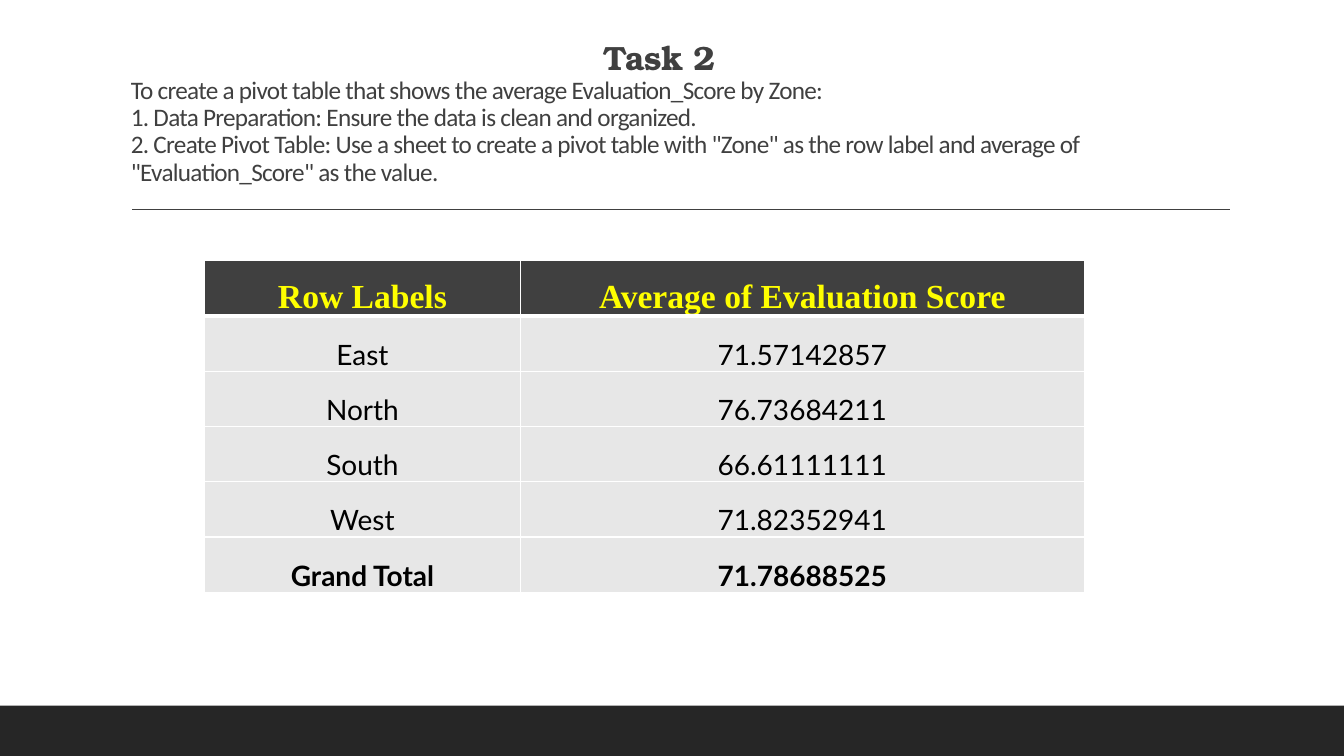
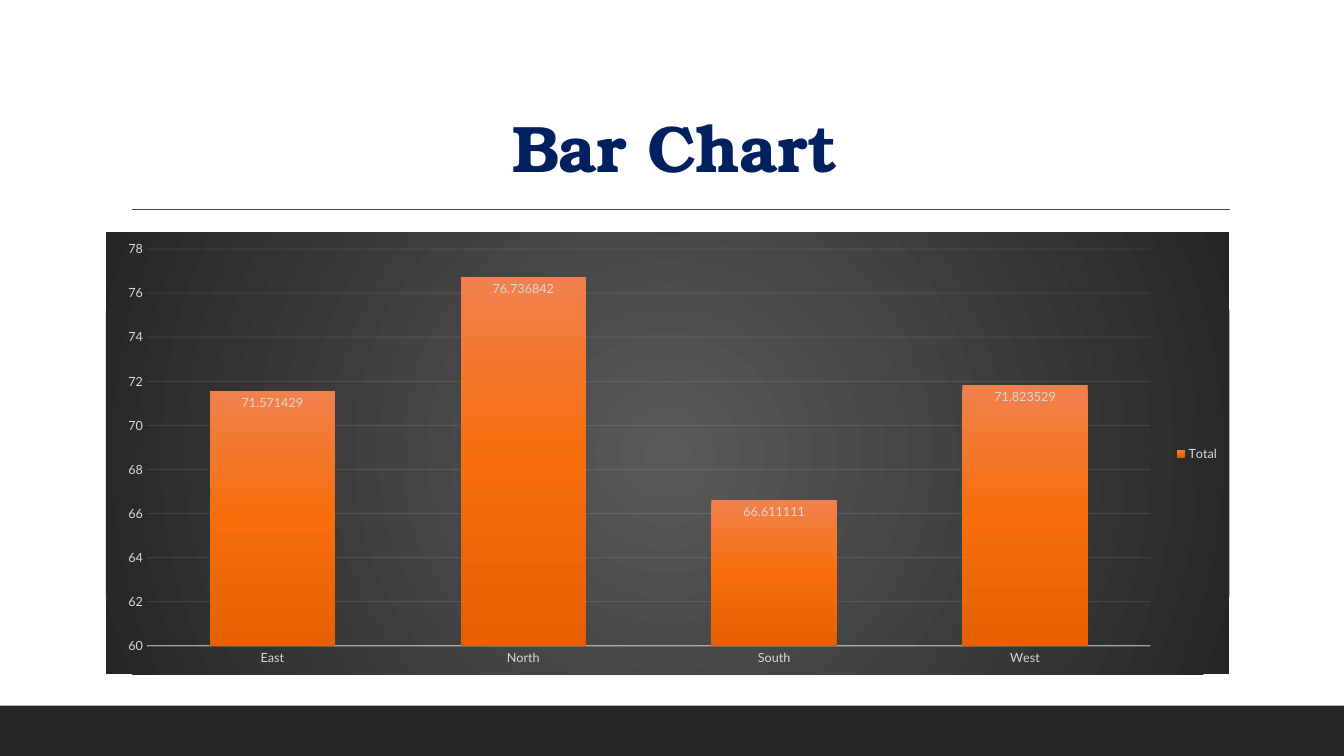
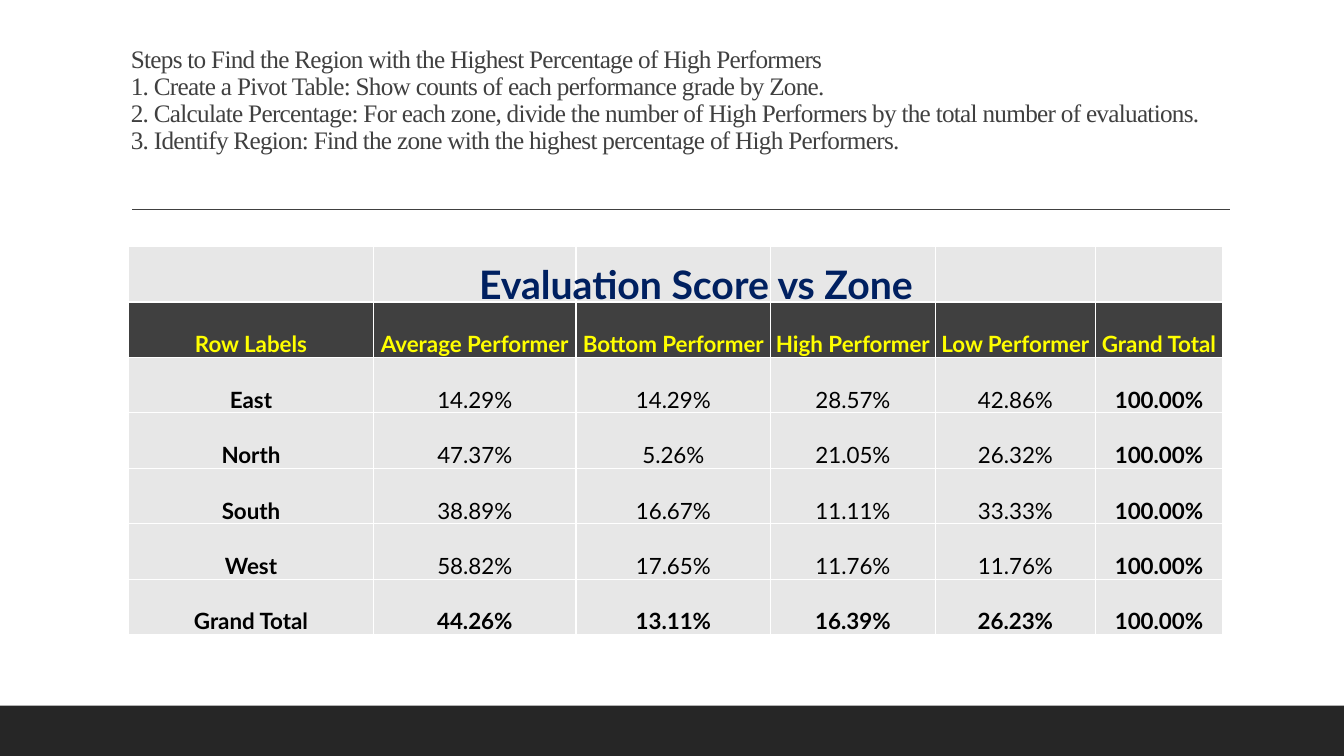
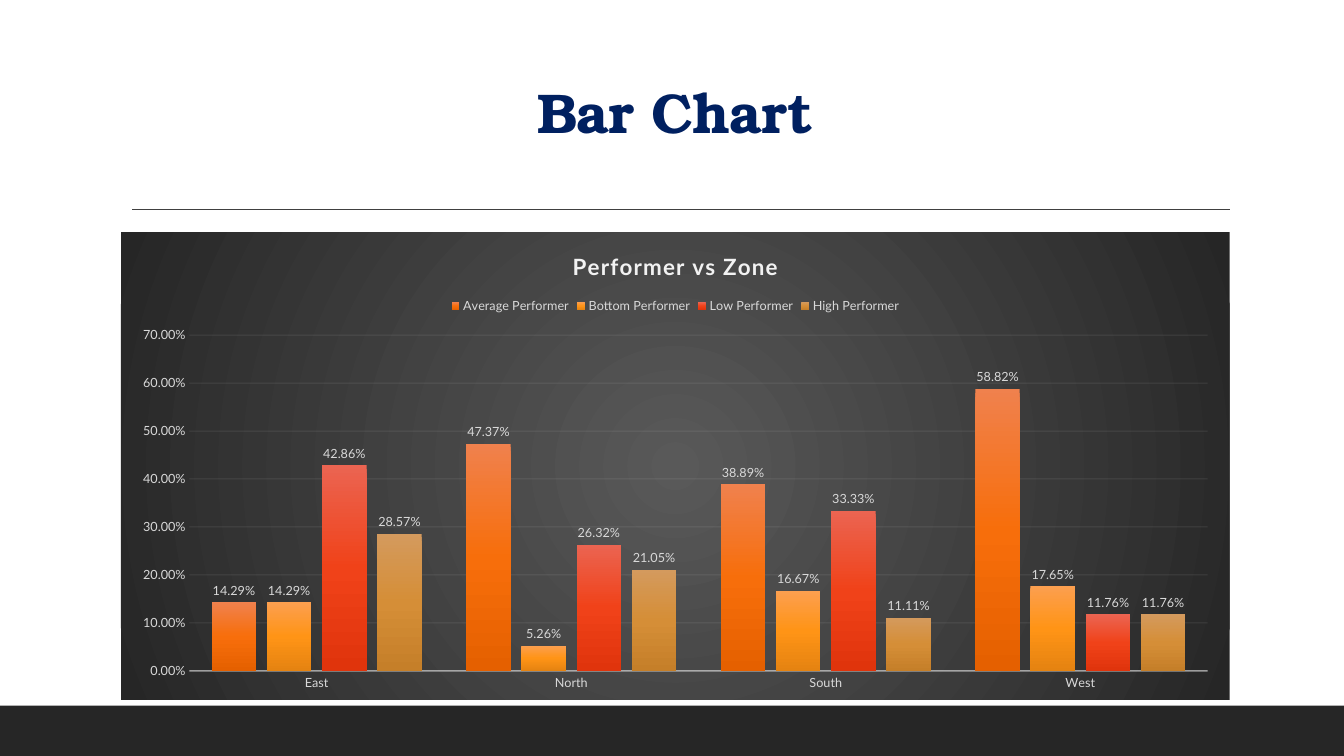
from dataclasses import dataclass

from lxml.etree import SubElement
from pptx import Presentation
from pptx.chart.data import CategoryChartData
from pptx.dml.color import RGBColor
from pptx.enum.chart import XL_CHART_TYPE as ChartType, XL_LABEL_POSITION as LabelPos
from pptx.enum.chart import XL_LEGEND_POSITION as LegendPos, XL_TICK_MARK as Tick
from pptx.enum.shapes import MSO_CONNECTOR as Connector, MSO_SHAPE as Shape
from pptx.enum.text import MSO_ANCHOR as Anchor, PP_ALIGN as Align
from pptx.oxml.ns import qn
from pptx.util import Pt


@dataclass(frozen=True)
class Theme:
    band: str = "262626"
    dark: str = "404040"
    glow: str = "595959"
    navy: str = "002060"
    yellow: str = "FFFF00"
    cell: str = "E7E7E7"
    black: str = "000000"
    white: str = "FFFFFF"
    pale: str = "F2F2F2"
    chart_text: str = "D9D9D9"
    orange: tuple = ("F0814D", "F76E0B", "E56000")
    amber: tuple = ("FC9F4F", "FF9416", "E58311")
    red: tuple = ("EB6451", "F04219", "E0340C")
    tan: tuple = ("D49A5D", "D58E37", "C57F29")
    display: str = "TeX Gyre Bonum"
    serif: str = "Times New Roman"
    sans: str = "Calibri"
    data: str = "Lato"
    body_size: float = 18
    task_size: float = 24
    caption_size: float = 28
    chart_title_size: float = 16
    chart_size: float = 9


T = Theme()
WIDTH, HEIGHT = 960, 540
BAND_HEIGHT = 36
RULE_LEFT, RULE_RIGHT, RULE_TOP = 94.5, 878.7, 149.5
TITLE_LEFT, TITLE_WIDTH = 86.4, 792
ZONES = ["East", "North", "South", "West"]

PIVOT_STEPS = [
    "To create a pivot table that shows the average Evaluation_Score by Zone:",
    "1. Data Preparation: Ensure the data is clean and organized.",
    "2. Create Pivot Table: Use a sheet to create a pivot table with \"Zone\" as the row label "
    "and average of \"Evaluation_Score\" as the value.",
]
REGION_STEPS = [
    "Steps to Find the Region with the Highest Percentage of High Performers",
    "1. Create a Pivot Table: Show counts of each performance grade by Zone.",
    "2. Calculate Percentage: For each zone, divide the number of High Performers by the total "
    "number of evaluations.",
    "3. Identify Region: Find the zone with the highest percentage of High Performers.",
]
AVERAGE_ROWS = [
    ["Row Labels", "Average of Evaluation Score"],
    ["East", "71.57142857"],
    ["North", "76.73684211"],
    ["South", "66.61111111"],
    ["West", "71.82352941"],
    ["Grand Total", "71.78688525"],
]
SHARE_ROWS = [
    [""] * 6,
    ["Row Labels", "Average Performer", "Bottom Performer", "High Performer", "Low Performer",
     "Grand Total"],
    ["East", "14.29%", "14.29%", "28.57%", "42.86%", "100.00%"],
    ["North", "47.37%", "5.26%", "21.05%", "26.32%", "100.00%"],
    ["South", "38.89%", "16.67%", "11.11%", "33.33%", "100.00%"],
    ["West", "58.82%", "17.65%", "11.76%", "11.76%", "100.00%"],
    ["Grand Total", "44.26%", "13.11%", "16.39%", "26.23%", "100.00%"],
]
AVERAGE_SERIES = [
    ("Total", [71.571429, 76.736842, 66.611111, 71.823529], T.orange, 0),
]
SHARE_SERIES = [
    ("Average Performer", [0.1429, 0.4737, 0.3889, 0.5882], T.orange, 0),
    ("Bottom Performer", [0.1429, 0.0526, 0.1667, 0.1765], T.amber, 1),
    ("Low Performer", [0.4286, 0.2632, 0.3333, 0.1176], T.red, 3),
    ("High Performer", [0.2857, 0.2105, 0.1111, 0.1176], T.tan, 2),
]


def rgb(color):
    return RGBColor.from_string(color)


def style(font, name=T.data, size=T.chart_size, color=T.chart_text, bold=False):
    font.name, font.size, font.bold = name, Pt(size), bold
    font.color.rgb = rgb(color)


def write(frame, text, align=Align.LEFT, tracking=0, leading=None, indent=0, more=False, **font):
    paragraph = frame.add_paragraph() if more else frame.paragraphs[0]
    paragraph.alignment, paragraph.line_spacing = align, leading
    if indent:
        paragraph._p.get_or_add_pPr().set("marL", str(Pt(indent)))
    run = paragraph.add_run()
    run.text = text
    style(run.font, **font)
    if tracking:
        run.font._element.set("spc", str(int(tracking * 100)))


def add_box(slide, left, top, width, height, anchor=Anchor.TOP):
    frame = slide.shapes.add_textbox(Pt(left), Pt(top), Pt(width), Pt(height)).text_frame
    frame.word_wrap, frame.vertical_anchor = True, anchor
    return frame


def add_title(slide, top, height, lines, **common):
    frame = add_box(slide, TITLE_LEFT, top, TITLE_WIDTH, height, Anchor.BOTTOM)
    for number, (text, own) in enumerate(lines):
        write(frame, text, more=number > 0, tracking=-0.5, leading=0.9, **{**common, **own})


def new_slide(deck):
    slide = deck.slides.add_slide(deck.slide_layouts[6])
    band = slide.shapes.add_shape(Shape.RECTANGLE, 0, Pt(HEIGHT - BAND_HEIGHT), Pt(WIDTH),
                                  Pt(BAND_HEIGHT))
    band.shadow.inherit = False
    band.fill.solid()
    band.fill.fore_color.rgb = rgb(T.band)
    band.line.fill.background()
    rule = slide.shapes.add_connector(Connector.STRAIGHT, Pt(RULE_LEFT), Pt(RULE_TOP),
                                      Pt(RULE_RIGHT), Pt(RULE_TOP))
    rule.line.color.rgb = rgb(T.dark)
    rule.line.width = Pt(1)
    SubElement(rule._element.spPr, qn("a:effectLst"))
    return slide


def add_borders(cell, **widths):
    properties = cell._tc.get_or_add_tcPr()
    for side in "LRTB":
        line = SubElement(properties, qn("a:ln" + side), w=str(Pt(widths.get(side, 1))))
        SubElement(SubElement(line, qn("a:solidFill")), qn("a:srgbClr"), val=T.white)


def add_table(slide, left, top, columns, row_height, rows, header, header_font, body_size,
              bold_sides=False, header_rule=1):
    table = slide.shapes.add_table(len(rows), len(columns), Pt(left), Pt(top), Pt(sum(columns)),
                                   Pt(row_height * len(rows))).table
    table.first_row = table.horz_banding = False
    for column, width in zip(table.columns, columns):
        column.width = Pt(width)
    for r, row in enumerate(rows):
        table.rows[r].height = Pt(row_height)
        for c, text in enumerate(row):
            cell = table.cell(r, c)
            add_borders(cell, B=header_rule if r == header else 1,
                        T=header_rule if r == header + 1 else 1)
            cell.fill.solid()
            cell.fill.fore_color.rgb = rgb(T.dark if r == header else T.cell)
            cell.vertical_anchor = Anchor.BOTTOM
            cell.margin_left = cell.margin_right = cell.margin_top = Pt(0.7)
            cell.margin_bottom = 0
            if text:
                side = bold_sides and c in (0, len(row) - 1)
                body = dict(size=body_size, color=T.black, bold=side or r == len(rows) - 1)
                write(cell.text_frame, text, Align.CENTER, **(header_font if r == header else body))


def add_gradient(parent, colors, radial=False):
    gradient = SubElement(parent, qn("a:gradFill"), rotWithShape="1")
    stops = SubElement(gradient, qn("a:gsLst"))
    for number, color in enumerate(colors):
        position = 100000 * number // (len(colors) - 1)
        SubElement(SubElement(stops, qn("a:gs"), pos=str(position)), qn("a:srgbClr"), val=color)
    if radial:
        circle = SubElement(gradient, qn("a:path"), path="circle")
        SubElement(circle, qn("a:fillToRect"), {side: "50000" for side in "ltrb"})
    else:
        SubElement(gradient, qn("a:lin"), ang="5400000", scaled="0")


def draw_line(line, owner, width, opacity):
    line.color.rgb, line.width = rgb(T.pale), Pt(width)
    color = next(owner.iter(qn("a:srgbClr")))
    SubElement(color, qn("a:alpha"), val=str(opacity * 1000))


def add_chart(slide, box, series, scale, number_format, label_position, legend_position, title=None):
    data = CategoryChartData(number_format=number_format)
    data.categories = ZONES
    for name, values, _, _ in series:
        data.add_series(name, values)
    chart = slide.shapes.add_chart(ChartType.COLUMN_CLUSTERED, *map(Pt, box), data).chart
    style(chart.font)
    space = chart.element
    area = SubElement(space, qn("c:spPr"))
    space.find(qn("c:chart")).addnext(area)
    add_gradient(area, (T.glow, T.band), radial=True)
    SubElement(SubElement(area, qn("a:ln")), qn("a:noFill"))

    chart.has_title = title is not None
    if title:
        write(chart.chart_title.text_frame, title, Align.CENTER, tracking=1,
              size=T.chart_title_size, color=T.pale, bold=True)
        chart.chart_title.include_in_layout = False
    chart.has_legend = True
    chart.legend.position, chart.legend.include_in_layout = legend_position, False
    style(chart.legend.font)

    plot = chart.plots[0]
    plot.gap_width, plot.overlap, plot.vary_by_categories = 100, -24, False
    for item in plot.series:
        labels = item.data_labels
        labels.show_value, labels.position = True, label_position
        labels.number_format, labels.number_format_is_linked = number_format, False
        style(labels.font)
    for element, (_, _, colors, order) in zip(space.iter(qn("c:ser")), series):
        add_gradient(element.get_or_add_spPr(), colors)
        element.find(qn("c:order")).set("val", str(order))

    zones, values = chart.category_axis, chart.value_axis
    for axis in (zones, values):
        axis.major_tick_mark = axis.minor_tick_mark = Tick.NONE
        style(axis.tick_labels.font)
    values.minimum_scale, values.maximum_scale, values.major_unit = scale
    values.tick_labels.number_format = number_format
    values.tick_labels.number_format_is_linked = False
    values.format.line.fill.background()
    draw_line(zones.format.line, next(space.iter(qn("c:catAx"))), 1, 54)
    draw_line(values.major_gridlines.format.line, next(space.iter(qn("c:majorGridlines"))), 0.75, 10)


def main():
    deck = Presentation()
    deck.slide_width, deck.slide_height = Pt(WIDTH), Pt(HEIGHT)
    steps = dict(size=T.body_size, color=T.dark)
    heading = dict(name=T.display, color=T.navy, bold=True, align=Align.CENTER)

    slide = new_slide(deck)
    task = dict(name=T.display, size=T.task_size, bold=True, indent=337.6)
    add_title(slide, 22.3, 114.5, [("Task 2", task)] + [(step, {}) for step in PIVOT_STEPS],
              name=T.sans, **steps)
    add_table(slide, 146.2, 186.1, [225.4, 403], 39.5, AVERAGE_ROWS, header=0, header_rule=3,
              header_font=dict(name=T.serif, size=24, color=T.yellow, bold=True), body_size=20)

    slide = new_slide(deck)
    add_title(slide, 22.3, 114.5, [("Bar Chart", {})], size=47, **heading)
    add_chart(slide, (75.6, 166, 802.6, 315.7), AVERAGE_SERIES, (60, 78, 2), "General",
              LabelPos.INSIDE_END, LegendPos.RIGHT)

    slide = new_slide(deck)
    add_title(slide, 21.6, 92.9, [(step, {}) for step in REGION_STEPS], name=T.serif, **steps)
    add_table(slide, 91.8, 176.1, [175, 144.7, 139, 117.6, 114.5, 90.7], 39.6, SHARE_ROWS, header=1,
              header_font=dict(size=16, color=T.yellow, bold=True), body_size=16, bold_sides=True)
    write(add_box(slide, 296.6, 182.2, 401, 41), "Evaluation Score vs Zone", Align.CENTER,
          size=T.caption_size, color=T.navy, bold=True)

    slide = new_slide(deck)
    add_title(slide, 48.6, 59, [("Bar Chart", {})], size=40, **heading)
    add_chart(slide, (86.4, 166, 792, 334), SHARE_SERIES, (0, 0.7, 0.1), "0.00%",
              LabelPos.OUTSIDE_END, LegendPos.TOP, "Performer vs Zone")

    deck.save("out.pptx")


if __name__ == "__main__":
    main()
